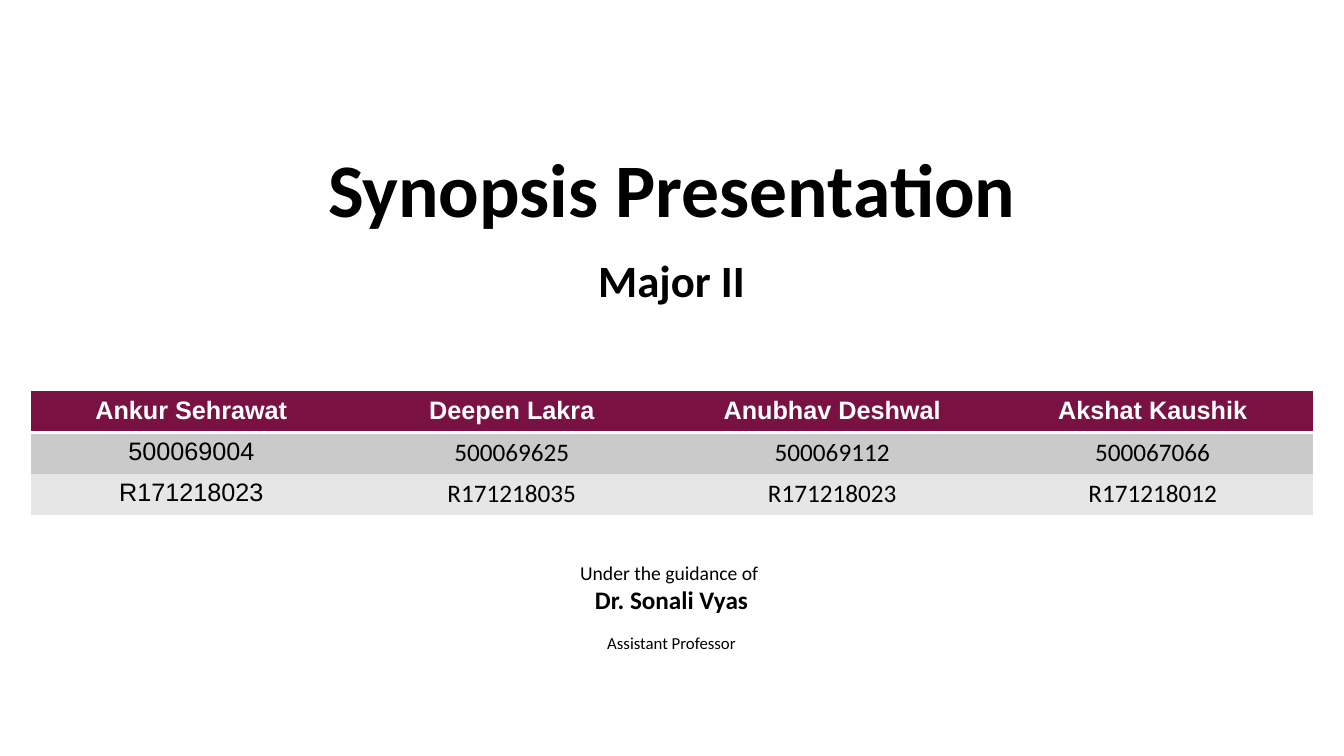
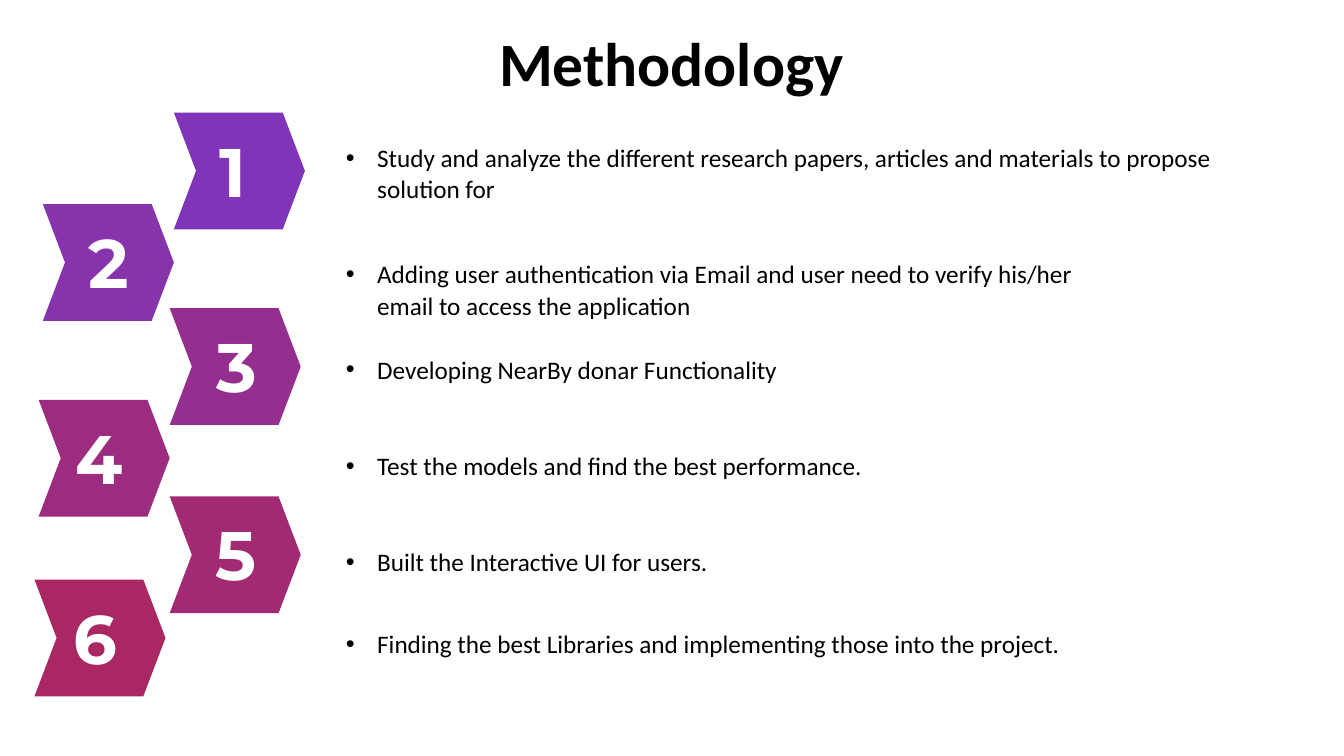
from lxml.etree import SubElement
from pptx import Presentation
from pptx.dml.color import RGBColor
from pptx.enum.shapes import MSO_SHAPE
from pptx.enum.text import MSO_ANCHOR, PP_ALIGN
from pptx.oxml.ns import qn
from pptx.util import Inches, Pt

BLACK = RGBColor(0x00, 0x00, 0x00)
WHITE = RGBColor(0xFF, 0xFF, 0xFF)
MAROON = RGBColor(0x79, 0x11, 0x42)
GREY = RGBColor(0xCA, 0xCA, 0xCA)
LIGHT_GREY = RGBColor(0xE6, 0xE6, 0xE6)
VIOLET = RGBColor(0x80, 0x35, 0xB9)
PURPLE = RGBColor(0x87, 0x33, 0xAB)
ORCHID = RGBColor(0x95, 0x2F, 0x8F)
PLUM = RGBColor(0x9B, 0x2C, 0x80)
BERRY = RGBColor(0xA2, 0x2A, 0x72)
CRIMSON = RGBColor(0xA9, 0x28, 0x64)

BODY, TABLE, NUMBER = "Calibri", "Arial", "Montserrat"
COLS, ROWS = 160, 90
CHEVRON_W, CHEVRON_H = 15.6, 13.9
NUMBER_W, NUMBER_H = 6, 10.1
NO_GRID_STYLE = "{2D5ABB26-0587-4C30-8999-92F81FD0307C}"

STUDENTS = [
    ("Ankur Sehrawat", "500069004", "R171218023"),
    ("Deepen Lakra", "500069625", "R171218035"),
    ("Anubhav Deshwal", "500069112", "R171218023"),
    ("Akshat Kaushik", "500067066", "R171218012"),
]

# chevron column, row, number offset, colour
CHEVRONS = [
    (20.7, 13.4, 5.4, VIOLET),
    (5.1, 24.3, 5.4, PURPLE),
    (20.2, 36.7, 5.6, ORCHID),
    (4.6, 47.6, 4.4, PLUM),
    (20.2, 59.1, 5.5, BERRY),
    (4.1, 69, 4.7, CRIMSON),
]

# row, width, height, line spacing, text
STEPS = [
    (16.4, 113, 8.5, 1, "Study and analyze the different research papers, "
     "articles and materials to propose solution for"),
    (29.9, 89.4, 9, 1.07, "Adding user authentication via Email and user need "
     "to verify his/her email to access the application"),
    (41.3, 80, 5, 1.07, "Developing NearBy donar Functionality"),
    (52.8, 80, 5, 1.07, "Test the models and find the best performance."),
    (64.2, 80, 5, 1.07, "Built the Interactive UI for users."),
    (74, 106.2, 5, 1.07, "Finding the best Libraries and implementing those "
     "into the project."),
]


class Deck:
    def __init__(self):
        self.prs = Presentation()
        self.prs.slide_width, self.prs.slide_height = Inches(13.33), Inches(7.5)
        self.s = None

    def grid(self, *at):
        """Turn column, row, width and height into slide lengths."""
        units = (self.prs.slide_width / COLS, self.prs.slide_height / ROWS) * 2
        return [round(n * unit) for n, unit in zip(at, units)]

    def run(self, p, text, size, bold=False, font=BODY, color=BLACK):
        r = p.add_run()
        r.text = text
        r.font.name, r.font.size, r.font.bold = font, Pt(size), bold
        r.font.color.rgb = color

    def slide(self, title, at, size):
        self.s = self.prs.slides.add_slide(self.prs.slide_layouts[5])
        sp = self.s.shapes.title
        sp.left, sp.top, sp.width, sp.height = self.grid(*at)
        tf = sp.text_frame
        tf.word_wrap, tf.vertical_anchor = True, MSO_ANCHOR.MIDDLE
        tf.paragraphs[0].alignment = PP_ALIGN.CENTER
        self.run(tf.paragraphs[0], title, size, bold=True)

    def text_frame(self, at, shapes=None):
        shapes = self.s.shapes if shapes is None else shapes
        tf = shapes.add_textbox(*self.grid(*at)).text_frame
        tf.word_wrap = True
        return tf

    def centred(self, at, lines):
        """Add centred lines, each as text, size, bold and space before."""
        tf = self.text_frame(at)
        for i, (text, size, bold, gap) in enumerate(lines):
            p = tf.add_paragraph() if i else tf.paragraphs[0]
            p.alignment = PP_ALIGN.CENTER
            if gap:
                p.space_before = Pt(gap)
            self.run(p, text, size, bold)

    def bullet(self, at, text, spacing):
        p = self.text_frame(at).paragraphs[0]
        pPr = p._p.get_or_add_pPr()
        pPr.set("marL", str(Inches(0.31)))
        pPr.set("indent", str(-Inches(0.31)))
        color = SubElement(pPr, qn("a:buClr"))
        SubElement(color, qn("a:srgbClr"), val=str(BLACK))
        SubElement(pPr, qn("a:buFont"), typeface="Arial")
        SubElement(pPr, qn("a:buChar"), char="•")
        p.line_spacing = spacing
        self.run(p, text, 18)

    def chevron(self, col, row, number, offset, color):
        shapes = self.s.shapes.add_group_shape().shapes
        sp = shapes.add_shape(MSO_SHAPE.CHEVRON,
                              *self.grid(col, row, CHEVRON_W, CHEVRON_H))
        sp.adjustments[0] = 0.19
        sp.shadow.inherit = False
        sp.fill.solid()
        sp.fill.fore_color.rgb = color
        sp.line.fill.background()
        tf = self.text_frame((col + offset, row + (CHEVRON_H - NUMBER_H) / 2,
                              NUMBER_W, NUMBER_H), shapes)
        tf.margin_left = tf.margin_right = tf.margin_top = tf.margin_bottom = 0
        self.run(tf.paragraphs[0], str(number), 49, True, NUMBER, WHITE)

    def table(self, at, columns):
        """Add a table, given column by column, with a header row."""
        frame = self.s.shapes.add_table(len(columns[0]), len(columns), *self.grid(*at))
        table = frame.table
        table._tbl.tblPr.find(qn("a:tableStyleId")).text = NO_GRID_STYLE
        for x, column in enumerate(columns):
            for y, text in enumerate(column):
                cell, header = table.cell(y, x), y == 0
                if header:
                    self.bottom_border(cell)
                cell.fill.solid()
                cell.fill.fore_color.rgb = (MAROON, GREY, LIGHT_GREY)[y]
                p = cell.text_frame.paragraphs[0]
                p.alignment = PP_ALIGN.CENTER
                self.run(p, text, 18, header, TABLE if header or x == 0 else BODY,
                         WHITE if header else BLACK)

    def bottom_border(self, cell):
        line = SubElement(cell._tc.get_or_add_tcPr(), qn("a:lnB"), w=str(Pt(2)))
        fill = SubElement(line, qn("a:solidFill"))
        SubElement(fill, qn("a:srgbClr"), val=str(WHITE))


def main():
    deck = Deck()

    deck.slide("Synopsis Presentation", (13.1, 15.2, 133.8, 14.3), 54)
    deck.centred((64.3, 29.5, 31.3, 7.7), [("Major II", 32, True, 0)])
    deck.table((3.7, 46.6, 152.6, 14.7), STUDENTS)
    deck.centred((60.8, 66.2, 38.3, 14.8), [
        ("Under the guidance of ", 14, False, 0),
        ("Dr. Sonali Vyas", 18, True, 0),
        ("Assistant Professor", 12, False, 13),
    ])

    deck.slide("Methodology", (21.2, 2.3, 117.5, 10.1), 44)
    for number, (col, row, offset, color) in enumerate(CHEVRONS, 1):
        deck.chevron(col, row, number, offset, color)
    for row, width, height, spacing, text in STEPS:
        deck.bullet((40, row, width, height), text, spacing)

    deck.prs.save("out.pptx")


if __name__ == "__main__":
    main()
